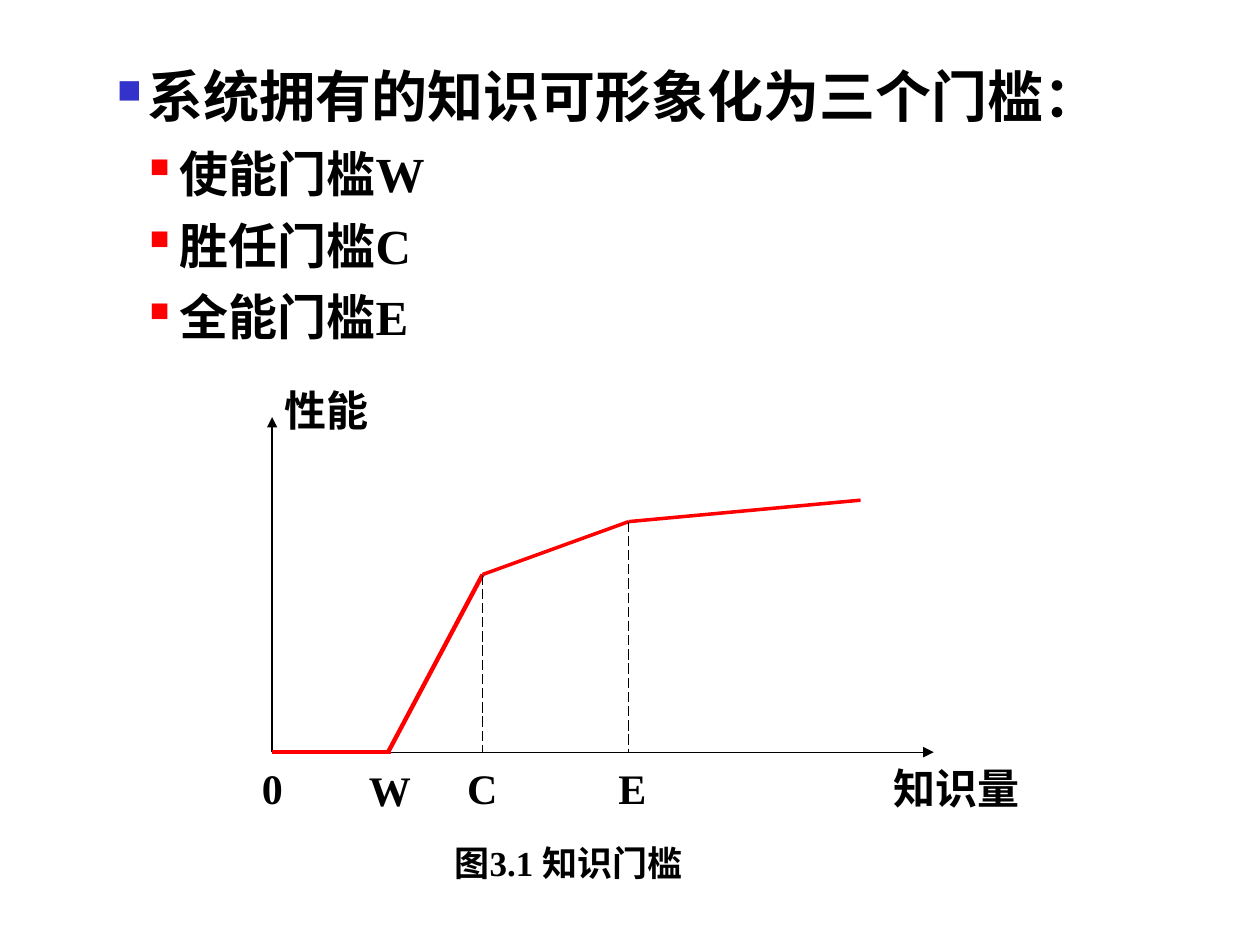
from dataclasses import dataclass

from lxml.etree import SubElement
from pptx import Presentation
from pptx.dml.color import RGBColor
from pptx.enum.dml import MSO_LINE as Dash
from pptx.enum.shapes import MSO_CONNECTOR as Connector
from pptx.enum.text import MSO_AUTO_SIZE as AutoSize
from pptx.oxml.ns import qn
from pptx.util import Emu, Pt

PX = 9144
BLACK, RED, BLUE = "000000", "FF0000", "3333CC"
CJK, LATIN = "Karla", "Times New Roman"


@dataclass(frozen=True)
class Segment:
    """A straight line of the diagram, in px and points."""
    start: tuple[int, int]
    end: tuple[int, int]
    color: str = BLACK
    weight: float = 0.75
    dashed: bool = False
    arrow: bool = False


@dataclass(frozen=True)
class Label:
    """A one-line caption of the diagram."""
    text: str
    box: tuple[int, int, int, int]
    font: str = LATIN
    size: int = 24


@dataclass(frozen=True)
class Bullet:
    """A bulleted paragraph made of (text, font) pieces."""
    pieces: tuple[tuple[str, str], ...]
    size: int = 28
    level: int = 1
    margin: int = 50
    color: str = RED
    percent: int = 55
    spacing: float | None = 0.7
    before: float = 17.5


HANG = 24
ORIGIN, W, C, E = (216, 597), (308, 597), (383, 456), (499, 414)
BASELINE = ORIGIN[1]

SEGMENTS = [
    Segment(ORIGIN, (216, 331), arrow=True),
    Segment(ORIGIN, (741, BASELINE), arrow=True),
    Segment(W, C, RED, 2.5),
    Segment(C, E, RED, 2),
    Segment(E, (683, 397), RED, 2),
    *(Segment(knot, (knot[0], BASELINE), dashed=True) for knot in (C, E)),
    Segment(ORIGIN, (310, BASELINE), RED, 2),
]

LABELS = [
    Label("W", (283, 602, 83, 50)),
    Label("C", (361, 600, 83, 50)),
    Label("E", (481, 600, 83, 50)),
    Label("0", (198, 600, 87, 50)),
    Label("性能", (216, 300, 94, 50), CJK),
    Label("知识量", (699, 600, 185, 50), CJK),
    Label("图3.1 知识门槛", (351, 663, 403, 44), size=20),
]

BULLETS = [
    Bullet((("系统拥有的知识可形象化为三个门槛：", CJK),), 32, 0, HANG, BLUE, 60, None, 0),
    *(Bullet(((name, CJK), (letter, LATIN)))
      for name, letter in (("使能门槛", "W"), ("胜任门槛", "C"), ("全能门槛", "E"))),
]


def rgb(color: str) -> RGBColor:
    """Turn a hex string into a colour."""
    return RGBColor.from_string(color)


def add_run(paragraph, text: str, font: str, size: int) -> None:
    """Append a bold black run."""
    run = paragraph.add_run()
    run.text = text
    for name, value in {"name": font, "size": Pt(size), "bold": True}.items():
        setattr(run.font, name, value)
    run.font.color.rgb = rgb(BLACK)


def add_frame(slide, box: tuple[int, int, int, int]):
    """Add a wrapping text box and return its text frame."""
    frame = slide.shapes.add_textbox(*(Emu(n * PX) for n in box)).text_frame
    for name, value in {"word_wrap": True, "auto_size": AutoSize.SHAPE_TO_FIT_TEXT}.items():
        setattr(frame, name, value)
    return frame


def draw_segment(slide, segment: Segment) -> None:
    """Draw a line with its dash and arrowhead."""
    ends = (Emu(n * PX) for n in segment.start + segment.end)
    connector = slide.shapes.add_connector(Connector.STRAIGHT, *ends)
    line = connector.line
    line.color.rgb = rgb(segment.color)
    line.width = Pt(segment.weight)
    if segment.dashed:
        line.dash_style = Dash.LONG_DASH
    properties = connector.element.spPr
    if segment.arrow:
        SubElement(properties.find(qn("a:ln")), qn("a:tailEnd"), type="triangle")
    SubElement(properties, qn("a:effectLst"))


def draw_label(slide, label: Label) -> None:
    """Draw a diagram caption."""
    paragraph = add_frame(slide, label.box).paragraphs[0]
    add_run(paragraph, label.text, label.font, label.size)


def write_bullet(paragraph, bullet: Bullet) -> None:
    """Fill a paragraph with a square bullet and its text pieces."""
    properties = paragraph._p.get_or_add_pPr()
    properties.set("marL", str(bullet.margin * PX))
    properties.set("indent", str(-HANG * PX))
    SubElement(SubElement(properties, qn("a:buClr")), qn("a:srgbClr"), val=bullet.color)
    SubElement(properties, qn("a:buSzPct"), val=str(bullet.percent * 1000))
    SubElement(properties, qn("a:buChar"), char="■")
    formats = {"level": bullet.level, "line_spacing": bullet.spacing,
               "space_before": Pt(bullet.before)}
    for name, value in formats.items():
        setattr(paragraph, name, value)
    for text, font in bullet.pieces:
        add_run(paragraph, text, font, bullet.size)


def main() -> None:
    """Build the knowledge threshold slide."""
    deck = Presentation()
    deck.slide_width, deck.slide_height = Emu(1000 * PX), Emu(750 * PX)
    slide = deck.slides.add_slide(deck.slide_layouts[6])
    for segment in SEGMENTS:
        draw_segment(slide, segment)
    for label in LABELS:
        draw_label(slide, label)
    frame = add_frame(slide, (83, 44, 851, 235))
    for index, bullet in enumerate(BULLETS):
        write_bullet(frame.add_paragraph() if index else frame.paragraphs[0], bullet)
    deck.save("out.pptx")


if __name__ == "__main__":
    main()
